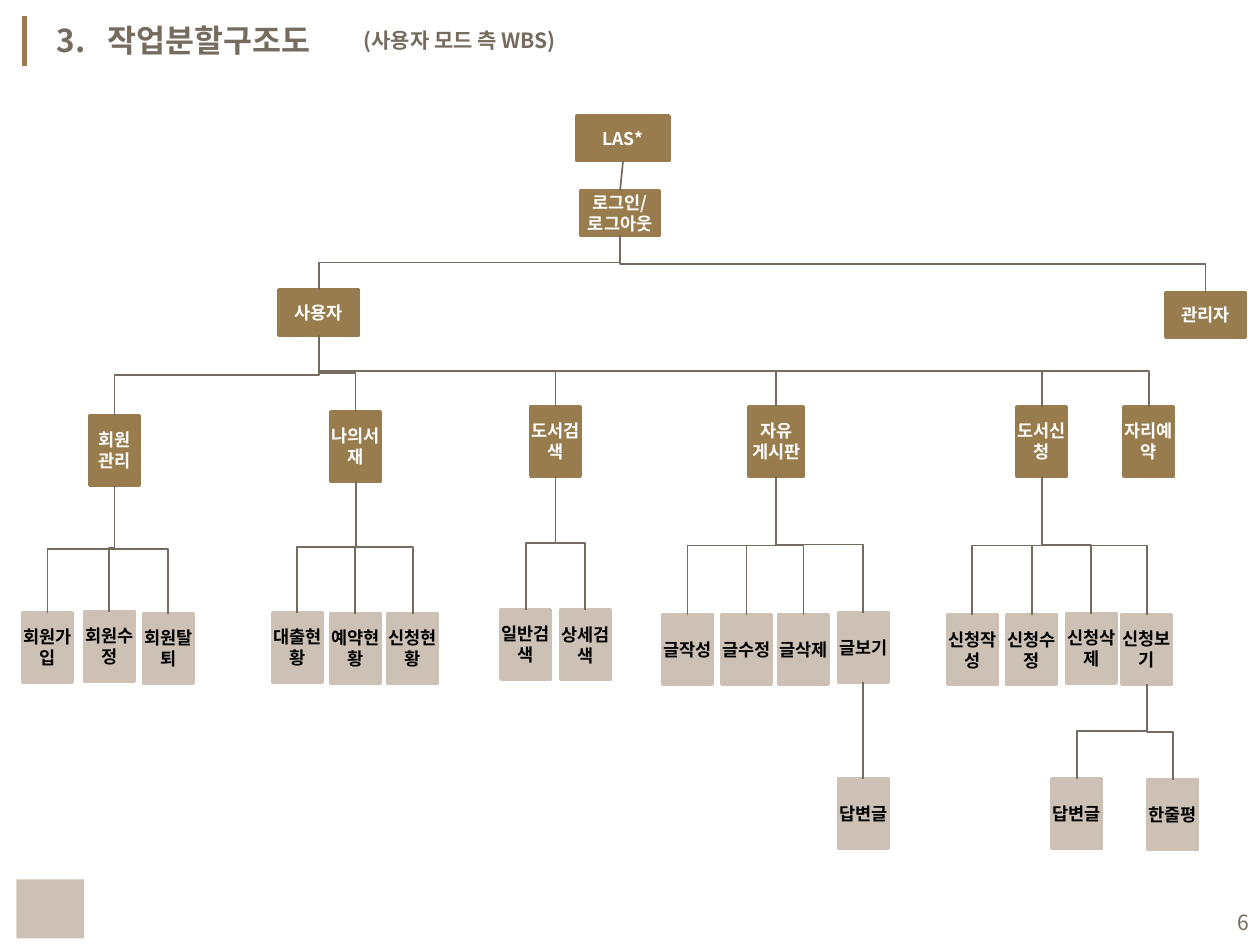
from dataclasses import dataclass, field
from typing import Optional

import pptx
import pptx.dml.color
import pptx.enum.shapes
import pptx.enum.text
import pptx.oxml
import pptx.oxml.ns
import pptx.util

Cm = pptx.util.Cm
Pt = pptx.util.Pt
ALIGN = pptx.enum.text.PP_ALIGN
ANCHOR = pptx.enum.text.MSO_ANCHOR
SHAPE = pptx.enum.shapes.MSO_SHAPE
LINK = pptx.enum.shapes.MSO_CONNECTOR
qn = pptx.oxml.ns.qn


@dataclass(frozen=True)
class Theme:
    font: str = "Noto Sans CJK KR"
    gold: str = "987C4D"
    brown: str = "756B5F"
    sand: str = "CDC1B6"
    white: str = "FFFFFF"
    black: str = "000000"
    title: int = 18
    note: int = 12
    label: int = 10


@dataclass
class Box:
    text: str
    x: float
    y: float
    kids: list["Box"] = field(default_factory=list)
    w: float = 1.0
    h: float = 1.4
    leaf: bool = False


THEME = Theme()


def leaf(text: str, x: float, y: float, *kids: Box) -> Box:
    return Box(text, x, y, list(kids), leaf=True)


def head(text: str, x: float, y: float, *kids: Box, w: float = 1.6) -> Box:
    return Box(text, x, y, list(kids), w=w, h=0.9)


# Work breakdown tree, places in centimetres
TREE = head("LAS*", 11.63, 2.34, head(
    "로그인/\n로그아웃", 11.7, 3.84,
    head("사용자", 5.63, 5.85,
         Box("회원\n관리", 1.81, 8.38, [
             leaf("회원가입", 0.46, 12.35),
             leaf("회원수정", 1.7, 12.33),
             leaf("회원탈퇴", 2.89, 12.37)]),
         Box("나의서재", 6.67, 8.3, [
             leaf("대출현황", 5.49, 12.35),
             leaf("예약현황", 6.66, 12.37),
             leaf("신청현황", 7.82, 12.37)]),
         Box("도서검색", 10.7, 8.2, [
             leaf("일반검색", 10.1, 12.29),
             leaf("상세검색", 11.3, 12.3)]),
         Box("자유\n게시판", 15.1, 8.2, [
             leaf("글작성", 13.36, 12.39),
             leaf("글수정", 14.55, 12.39),
             leaf("글삭제", 15.7, 12.39),
             leaf("글보기", 16.9, 12.35, leaf("답변글", 16.9, 15.7))], w=1.1),
         Box("도서신청", 20.5, 8.2, [
             leaf("신청작성", 19.1, 12.4),
             leaf("신청수정", 20.3, 12.4),
             leaf("신청삭제", 21.5, 12.37),
             leaf("신청보기", 22.62, 12.39,
                  leaf("답변글", 21.21, 15.7),
                  leaf("한줄평", 23.14, 15.72))]),
         Box("자리예약", 22.66, 8.2)),
    head("관리자", 23.5, 5.9)), w=1.86)


def color(code: str) -> pptx.dml.color.RGBColor:
    return pptx.dml.color.RGBColor.from_string(code)


def write(shape, text: str, *, size: int, tint: str, bold: bool = True,
          align=ALIGN.LEFT, anchor=ANCHOR.TOP,
          inset: Optional[float] = None, tab: Optional[float] = None) -> None:
    """Fill a shape with lines of text."""
    frame = shape.text_frame
    frame.word_wrap = True
    frame.auto_size = pptx.enum.text.MSO_AUTO_SIZE.NONE
    frame.vertical_anchor = anchor
    if inset is not None:
        frame.margin_left = frame.margin_right = Cm(inset)
        frame.margin_top = frame.margin_bottom = Cm(inset)
    for i, line in enumerate(text.split("\n")):
        para = frame.add_paragraph() if i else frame.paragraphs[0]
        para.alignment = align
        if tab is not None:
            stops = pptx.oxml.parse_xml(
                f'<a:tabLst {pptx.oxml.ns.nsdecls("a")}>'
                f'<a:tab pos="{Cm(tab)}" algn="l"/></a:tabLst>')
            para._p.get_or_add_pPr().append(stops)
        run = para.add_run()
        run.text = line
        font = run.font
        font.size = Pt(size)
        font.bold = bold
        font.color.rgb = color(tint)
        font.name = THEME.font
        props = font._element
        east = props.makeelement(qn("a:ea"), {"typeface": THEME.font})
        props.find(qn("a:latin")).addnext(east)


def add_text(slide, x: float, y: float, w: float, h: float, text: str, **form) -> None:
    write(slide.shapes.add_textbox(Cm(x), Cm(y), Cm(w), Cm(h)), text, **form)


def add_link(slide, kind, tint: str, width: float, start=(0, 0), end=(0, 0)):
    link = slide.shapes.add_connector(kind, *map(Cm, start + end))
    link.line.color.rgb = color(tint)
    link.line.width = Pt(width)
    link._element.spPr.append(link._element.makeelement(qn("a:effectLst"), {}))
    return link


def join(slide, top, low, kind) -> None:
    """Link the foot of one box to the top of the next."""
    link = add_link(slide, kind, THEME.brown, 1)
    link.begin_connect(top, 2)
    link.end_connect(low, 0)
    if kind == LINK.STRAIGHT:
        return
    # A vertical elbow is a flat elbow given a quarter turn
    x1, y1 = top.left + top.width // 2, top.top + top.height
    x2, y2 = low.left + low.width // 2, low.top
    link.width, link.height = y2 - y1, abs(x2 - x1)
    link.left = (x1 + x2 - link.width) // 2
    link.top = (y1 + y2 - link.height) // 2
    frame = link._element.spPr.find(qn("a:xfrm"))
    for name in ("flipH", "flipV"):
        frame.attrib.pop(name, None)
    frame.set("rot", "16200000" if x2 > x1 else "5400000")
    if x2 > x1:
        frame.set("flipH", "1")


def draw_tree(slide, box: Box, pairs: list):
    """Draw a box and all below it, and note which boxes to link."""
    fill = color(THEME.sand if box.leaf else THEME.gold)
    shape = slide.shapes.add_shape(SHAPE.RECTANGLE, Cm(box.x), Cm(box.y), Cm(box.w), Cm(box.h))
    shape.shadow.inherit = False
    shape.fill.solid()
    shape.fill.fore_color.rgb = shape.line.color.rgb = fill
    shape.line.width = Pt(2)
    write(shape, box.text, size=THEME.label, tint=THEME.black if box.leaf else THEME.white,
          align=ALIGN.CENTER, anchor=ANCHOR.MIDDLE, inset=0)
    for kid in box.kids:
        pairs.append((shape, draw_tree(slide, kid, pairs), box is TREE))
    return shape


def draw_foot(slide) -> None:
    """Draw a plain block at the left and the page number at the right."""
    block = slide.shapes.add_shape(SHAPE.RECTANGLE, Cm(0.33), Cm(17.73), Cm(1.37), Cm(1.19))
    block.shadow.inherit = False
    block.fill.solid()
    block.fill.fore_color.rgb = color(THEME.sand)
    block.line.fill.background()
    add_text(slide, 19.51, 18.08, 5.92, 1.02, "6", size=THEME.note, tint=THEME.brown,
             bold=False, align=ALIGN.RIGHT, anchor=ANCHOR.MIDDLE)


def main() -> None:
    deck = pptx.Presentation()
    deck.slide_width, deck.slide_height = Cm(25.4), Cm(19.05)
    slide = deck.slides.add_slide(deck.slide_layouts[5])

    # Title with its side bar and note
    add_link(slide, LINK.STRAIGHT, THEME.gold, 3, (0.5, 0.33), (0.5, 1.33))
    title = slide.shapes.title
    title.left, title.top, title.width, title.height = map(Cm, (0.89, 0.3, 8.15, 1.02))
    write(title, "3.\t작업분할구조도", size=THEME.title, tint=THEME.brown, tab=1.02)
    add_text(slide, 7.08, 0.43, 4.5, 0.76, "(사용자 모드 측 WBS)",
             size=THEME.note, tint=THEME.brown)

    # Tree, with links on top of the boxes
    pairs: list = []
    draw_tree(slide, TREE, pairs)
    for top, low, first in pairs:
        join(slide, top, low, LINK.STRAIGHT if first else LINK.ELBOW)

    draw_foot(slide)
    deck.save("out.pptx")


if __name__ == "__main__":
    main()
